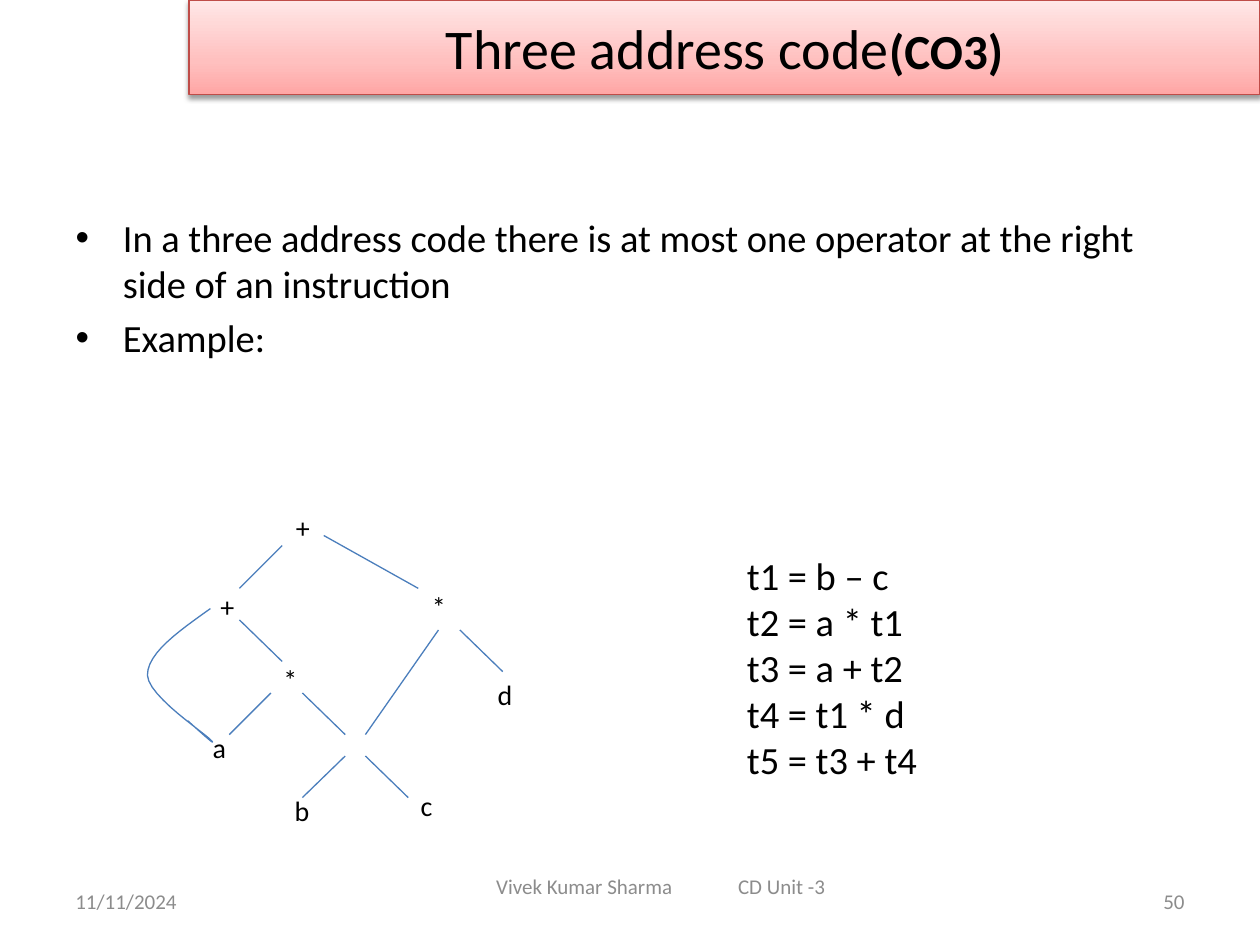
from typing import NamedTuple

import pptx
import pptx.dml.color
import pptx.enum.shapes
import pptx.enum.text
import pptx.oxml
import pptx.oxml.ns
import pptx.util

Inches = pptx.util.Inches
Pt = pptx.util.Pt
RGBColor = pptx.dml.color.RGBColor
ALIGN = pptx.enum.text.PP_ALIGN
ANCHOR = pptx.enum.text.MSO_ANCHOR

BLACK = RGBColor(0x00, 0x00, 0x00)
GREY = RGBColor(0x8C, 0x8C, 0x8C)
EDGE_BLUE = RGBColor(0x4B, 0x7E, 0xBC)
TITLE_BORDER = RGBColor(0xBF, 0x4C, 0x48)
TITLE_STOPS = [
    (0, RGBColor(0xFF, 0xA6, 0xA5)),
    (35, RGBColor(0xFF, 0xC0, 0xBF)),
    (100, RGBColor(0xFF, 0xE7, 0xE7)),
]
NAMESPACE = pptx.oxml.ns.nsdecls("a")
Point = tuple[float, float]


class Label(NamedTuple):
    text: str
    left: float
    top: float
    width: float
    height: float = 0.37


class Edge(NamedTuple):
    start: Point
    end: Point


NODES = [
    Label("+", 2.25, 4, 0.33),
    Label("+", 1.65, 4.63, 0.33),
    Label("*", 3.33, 4.63, 0.31),
    Label("*", 2.15, 5.21, 0.31),
    Label("a", 1.59, 5.75, 0.3),
    Label("b", 2.24, 6.25, 0.31),
    Label("c", 3.24, 6.21, 0.3),
    Label("d", 3.85, 5.33, 0.31),
]
EDGES = [
    Edge((2.24, 4.33), (1.9, 4.67)),
    Edge((2.57, 4.25), (3.32, 4.67)),
    Edge((1.9, 4.92), (2.24, 5.25)),
    Edge((2.15, 5.5), (1.82, 5.83)),
    Edge((2.4, 5.5), (2.74, 5.83)),
    Edge((3.48, 5), (2.9, 5.83)),
    Edge((3.65, 5), (3.99, 5.33)),
    Edge((2.74, 6), (2.4, 6.33)),
    Edge((2.9, 6), (3.24, 6.33)),
]
LOOP_START = (1.67, 4.83)
LOOP_CURVES = [
    ((1.42, 5.01), (1.17, 5.18), (1.17, 5.36)),
    ((1.18, 5.53), (1.63, 5.82), (1.68, 5.88)),
    ((1.73, 5.94), (1.49, 5.72), (1.49, 5.72)),
]
CODE = Label(
    "t1 = b – c\nt2 = a * t1\nt3 = a + t2\nt4 = t1 * d\nt5 = t3 + t4",
    5.83, 4.33, 1.57, 2.26,
)
FOOTERS = [
    (Label("11/11/2024", 0.5, 6.95, 2.33, 0.4), ALIGN.LEFT),
    (Label("Vivek Kumar Sharma", 3.84, 6.83, 1.7, 0.4), ALIGN.LEFT),
    (Label("CD Unit -3", 5.76, 6.83, 1.1, 0.4), ALIGN.LEFT),
    (Label("50", 7.17, 6.95, 2.33, 0.4), ALIGN.RIGHT),
]


def format_font(font, size: float, color: RGBColor, bold: bool = False) -> None:
    values = {"name": "Calibri", "size": Pt(size), "bold": bold}
    for name, value in values.items():
        setattr(font, name, value)
    font.color.rgb = color


def place(shape, left: float, top: float, width: float, height: float) -> None:
    values = {"left": left, "top": top, "width": width, "height": height}
    for name, value in values.items():
        setattr(shape, name, Inches(value))


def format_line(shape, color: RGBColor) -> None:
    shape.line.color.rgb = color
    shape.line.width = Pt(0.75)


def add_label(slide, label: Label, size: float, color: RGBColor = BLACK,
              align=ALIGN.LEFT, anchor=ANCHOR.TOP, wrap: bool = False) -> None:
    box = slide.shapes.add_textbox(*map(Inches, label[1:]))
    frame = box.text_frame
    frame.text = label.text
    frame.word_wrap = wrap
    frame.vertical_anchor = anchor
    for paragraph in frame.paragraphs:
        paragraph.alignment = align
        format_font(paragraph.font, size, color)


def add_edge(slide, edge: Edge) -> None:
    connector = slide.shapes.add_connector(
        pptx.enum.shapes.MSO_CONNECTOR.STRAIGHT,
        *map(Inches, edge.start + edge.end))
    format_line(connector, EDGE_BLUE)
    connector._element.spPr.append(
        pptx.oxml.parse_xml(f"<a:effectLst {NAMESPACE}/>"))


def curve_points(start: Point, curves, steps: int = 12) -> list[Point]:
    """Sample a chain of cubic Bezier curves."""
    points = []
    for first, second, end in curves:
        for step in range(1, steps + 1):
            t = step / steps
            weights = ((1 - t) ** 3, 3 * t * (1 - t) ** 2, 3 * t * t * (1 - t), t ** 3)
            points.append(tuple(
                sum(weight * value for weight, value in zip(weights, axis))
                for axis in zip(start, first, second, end)))
        start = end
    return points


def add_loop(slide) -> None:
    builder = slide.shapes.build_freeform(*map(Inches, LOOP_START), scale=1.0)
    points = curve_points(LOOP_START, LOOP_CURVES)
    builder.add_line_segments([(Inches(x), Inches(y)) for x, y in points], close=False)
    loop = builder.convert_to_shape()
    loop.shadow.inherit = False
    loop.fill.background()
    format_line(loop, EDGE_BLUE)


def fill_title(title) -> None:
    place(title, 1.5, 0, 8.5, 0.75)
    stops = "".join(
        f'<a:gs pos="{position * 1000}"><a:srgbClr val="{color}"/></a:gs>'
        for position, color in TITLE_STOPS)
    properties = title._element.spPr
    properties.append(pptx.oxml.parse_xml(
        f'<a:gradFill {NAMESPACE} rotWithShape="1"><a:gsLst>{stops}</a:gsLst>'
        '<a:lin ang="16200000" scaled="0"/></a:gradFill>'))
    format_line(title, TITLE_BORDER)
    properties.append(pptx.oxml.parse_xml(
        f'<a:effectLst {NAMESPACE}><a:outerShdw blurRad="{Pt(3.1)}" dist="{Pt(1.6)}" '
        'dir="5400000" rotWithShape="0"><a:srgbClr val="000000">'
        '<a:alpha val="38000"/></a:srgbClr></a:outerShdw></a:effectLst>'))
    title.text_frame.vertical_anchor = ANCHOR.MIDDLE
    paragraph = title.text_frame.paragraphs[0]
    paragraph.alignment = ALIGN.CENTER
    for text, size, bold in [("Three address code", 32, False), ("(CO3)", 28, True)]:
        run = paragraph.add_run()
        run.text = text
        format_font(run.font, size, BLACK, bold)


def fill_body(body) -> None:
    place(body, 0.5, 1.65, 9, 2)
    body.text_frame.text = (
        "In a three address code there is at most one operator at the right "
        "side of an instruction\nExample:")
    for paragraph in body.text_frame.paragraphs:
        format_font(paragraph.font, 22, BLACK)
    body.text_frame.paragraphs[0].space_before = Pt(0)


def main() -> None:
    presentation = pptx.Presentation()
    presentation.slide_width = Inches(10)
    presentation.slide_height = Inches(7.5)
    slide = presentation.slides.add_slide(presentation.slide_layouts[1])
    fill_title(slide.shapes.title)
    fill_body(slide.placeholders[1])
    for node in NODES:
        add_label(slide, node, 16)
    for edge in EDGES:
        add_edge(slide, edge)
    add_loop(slide)
    add_label(slide, CODE, 22)
    for footer, align in FOOTERS:
        add_label(slide, footer, 12, GREY, align, ANCHOR.MIDDLE, wrap=True)
    presentation.save("out.pptx")


if __name__ == "__main__":
    main()
